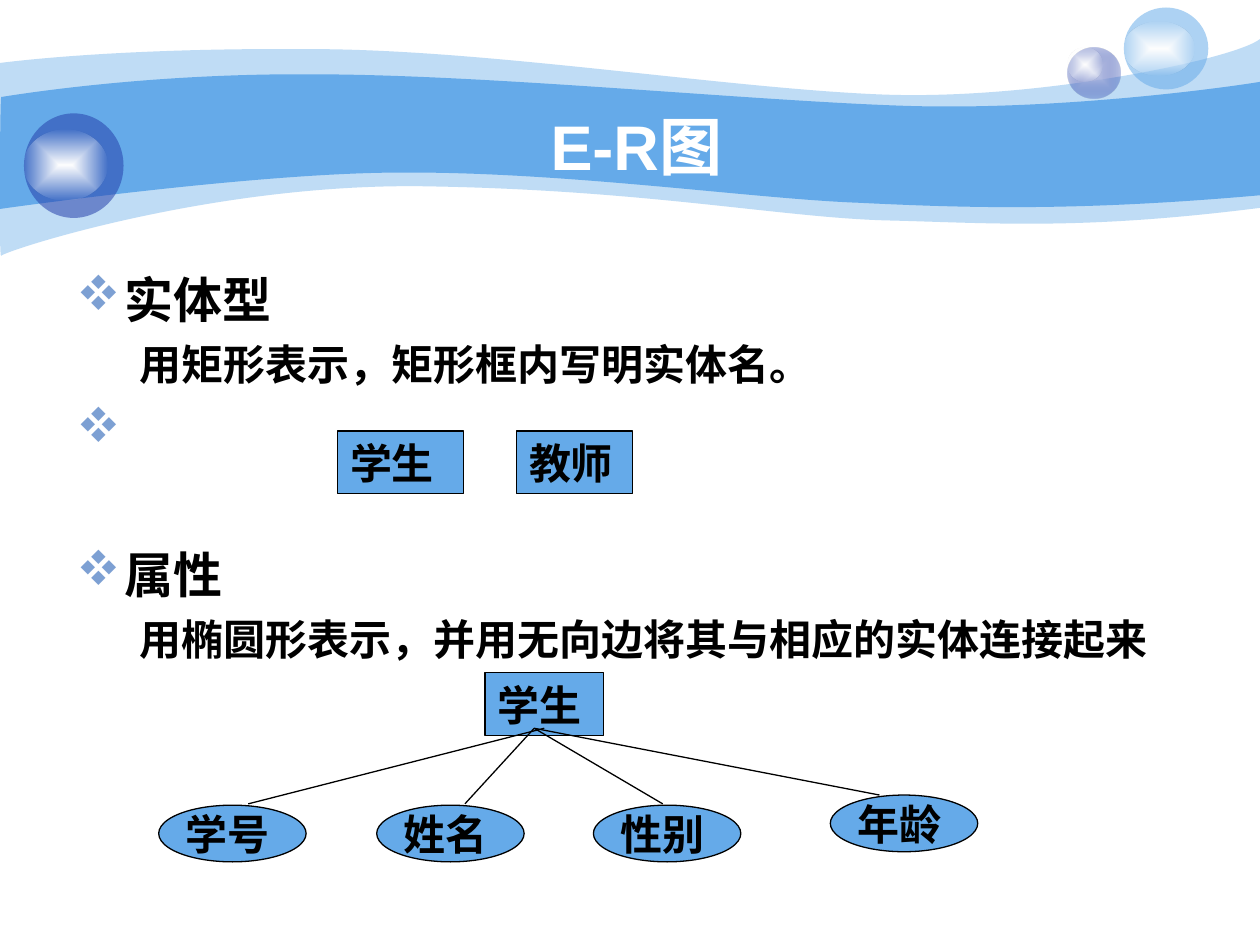
from pptx import Presentation
from pptx.dml.color import RGBColor
from pptx.enum.shapes import MSO_CONNECTOR, MSO_SHAPE
from pptx.enum.text import MSO_ANCHOR, PP_ALIGN
from pptx.oxml import parse_xml
from pptx.oxml.ns import nsdecls, qn
from pptx.util import Inches, Pt

WHITE = RGBColor(0xFF, 0xFF, 0xFF)
BLACK = RGBColor(0x00, 0x00, 0x00)
SKY = RGBColor(0x65, 0xAA, 0xE9)
NAVY = RGBColor(0x23, 0x3D, 0xA9)
LAVENDER = RGBColor(0xC7, 0xCE, 0xE9)
BULLET = RGBColor(0x7D, 0xA0, 0xD3)

RECTANGLE, OVAL = MSO_SHAPE.RECTANGLE, MSO_SHAPE.OVAL
STRAIGHT = MSO_CONNECTOR.STRAIGHT
TOP, MIDDLE = MSO_ANCHOR.TOP, MSO_ANCHOR.MIDDLE
LEFT, CENTER = PP_ALIGN.LEFT, PP_ALIGN.CENTER

OUTER_WAVE = [
    [(0, 0.5), (0.24, 0.47), (1.07, 0.38), (2.47, 0.39), (3.86, 0.39), (5.75, 0.7),
     (6.99, 0.75), (8.22, 0.8), (9.8, 0.47), (10, 0.31)],
    [(10, 1.65), (8.58, 1.83), (7.87, 1.77), (7.05, 1.75), (6.22, 1.73), (5.15, 1.51),
     (3.43, 1.48), (1.72, 1.44), (0.04, 1.99), (0.01, 2.03), (-0.01, 2.08), (0, 0.75), (0, 0.5)],
]
INNER_WAVE = [
    [(0.01, 0.77), (0.02, 0.77), (1.1, 0.58), (2.48, 0.59), (3.86, 0.59), (5.95, 0.8),
     (7.18, 0.84), (8.41, 0.88), (9.76, 0.69), (10, 0.65)],
    [(10, 1.55), (8.53, 1.68), (7.65, 1.65), (6.82, 1.61), (5.99, 1.58), (4.47, 1.36),
     (3.17, 1.37), (2.03, 1.37), (-0.02, 1.66), (-0.01, 1.66), (0, 1.66), (0, 0.77), (0.01, 0.77)],
]
ENTITIES = [("学生", 2.68, 3.42, 1), ("教师", 4.1, 3.42, 0.92), ("学生", 3.85, 5.34, 0.94)]
ATTRIBUTES = [("学号 ", 1.26, 6.39), ("年龄 ", 6.59, 6.31), ("性别 ", 4.71, 6.39), ("姓名 ", 2.99, 6.39)]
EDGES = [(4.32, 1.97, 6.38), (4.24, 3.69, 6.38), (4.24, 5.26, 6.38), (4.24, 6.98, 6.31)]


def write(paragraph, text, size=24, font="Arial", color=BLACK, align=LEFT, before=0, bold=True):
    paragraph.alignment = align
    if before:
        paragraph.space_before = Pt(before)
    run = paragraph.add_run()
    run.text = text
    run.font.size = Pt(size)
    run.font.name = font
    run.font.bold = bold
    run.font.color.rgb = color


def indent(paragraph, margin, hanging, bullet=False):
    properties = paragraph._p.get_or_add_pPr()
    properties.set("marL", str(Inches(margin)))
    properties.set("indent", str(-Inches(hanging)))
    if bullet:
        for mark in (
            f'<a:buClr {nsdecls("a")}><a:srgbClr val="{BULLET}"/></a:buClr>',
            f'<a:buFont {nsdecls("a")} typeface="Wingdings" pitchFamily="2" charset="2"/>',
            f'<a:buChar {nsdecls("a")} char="v"/>',
        ):
            properties.append(parse_xml(mark))


def paint(shape, color, opacity=100):
    shape.shadow.inherit = False
    shape.line.fill.background()
    shape.fill.solid()
    shape.fill.fore_color.rgb = color
    if opacity < 100:
        tint = shape._element.spPr.find(qn("a:solidFill"))[0]
        tint.append(parse_xml(f'<a:alpha {nsdecls("a")} val="{opacity * 1000}"/>'))


def paint_glow(shape, inner, outer, opacity):
    paint(shape, inner)
    properties = shape._element.spPr
    glow = parse_xml(
        f'<a:gradFill {nsdecls("a")} rotWithShape="1"><a:gsLst>'
        f'<a:gs pos="0"><a:srgbClr val="{inner}"/></a:gs>'
        f'<a:gs pos="100000"><a:srgbClr val="{outer}">'
        f'<a:alpha val="{opacity * 1000}"/></a:srgbClr></a:gs></a:gsLst>'
        '<a:path path="rect"><a:fillToRect l="50000" t="50000" r="50000" b="50000"/>'
        '</a:path></a:gradFill>')
    properties.replace(properties.find(qn("a:solidFill")), glow)


def add_wave(slide, edges, opacity=100):
    edges = [[(Inches(x), Inches(y)) for x, y in edge] for edge in edges]
    anchors = [point for edge in edges for point in edge[::3]]
    builder = slide.shapes.build_freeform(*anchors[0])
    builder.add_line_segments(anchors[1:], close=True)
    wave = builder.convert_to_shape()
    curves = []
    for edge in edges:
        curves.append(None)
        curves += [edge[i:i + 3] for i in range(1, len(edge), 3)]
    segments = list(wave._element.iter(qn("a:lnTo")))
    for segment, controls in zip(segments, curves[1:]):
        if controls:
            points = "".join(
                f'<a:pt x="{x - wave.left}" y="{y - wave.top}"/>' for x, y in controls)
            curve = parse_xml(f'<a:cubicBezTo {nsdecls("a")}>{points}</a:cubicBezTo>')
            segment.getparent().replace(segment, curve)
    paint(wave, SKY, opacity)


def add_oval(slide, left, top, width, height):
    return slide.shapes.add_shape(OVAL, Inches(left), Inches(top), Inches(width), Inches(height))


def add_highlight(slide, left, top, width, height):
    paint_glow(add_oval(slide, left, top, width, height), WHITE, WHITE, 0)


def add_text_area(slide, left, top, width, height, anchor=TOP):
    area = slide.shapes.add_textbox(Inches(left), Inches(top), Inches(width), Inches(height))
    area.text_frame.word_wrap = True
    area.text_frame.vertical_anchor = anchor
    return area.text_frame


def add_node(slide, kind, text, left, top, width, height, anchor, align, wrap):
    node = slide.shapes.add_shape(kind, Inches(left), Inches(top), Inches(width), Inches(height))
    paint(node, SKY)
    node.line.color.rgb = BLACK
    node.line.width = Pt(0.75)
    node.text_frame.word_wrap = wrap
    node.text_frame.vertical_anchor = anchor
    write(node.text_frame.paragraphs[0], text, font="Times New Roman", align=align)


def add_edge(slide, start_x, end_x, end_y):
    edge = slide.shapes.add_connector(
        STRAIGHT, Inches(start_x), Inches(5.78), Inches(end_x), Inches(end_y))
    edge.line.color.rgb = BLACK
    edge.line.width = Pt(0.75)
    edge._element.spPr.append(parse_xml(f'<a:effectLst {nsdecls("a")}/>'))


def add_backdrop(slide):
    add_wave(slide, OUTER_WAVE, opacity=41)
    add_wave(slide, INNER_WAVE)
    paint_glow(add_oval(slide, 8.47, 0.38, 0.42, 0.4), LAVENDER, NAVY, 31)
    add_highlight(slide, 8.47, 0.38, 0.28, 0.27)
    paint(add_oval(slide, 8.92, 0.06, 0.67, 0.65), SKY, 53)
    add_highlight(slide, 8.92, 0.17, 0.56, 0.43)
    paint(add_oval(slide, 0.19, 0.9, 0.79, 0.83), NAVY, 53)
    add_highlight(slide, 0.19, 1.03, 0.66, 0.56)


def add_heading(paragraph, text, before=0, bold=True):
    indent(paragraph, 0.38, 0.38, bullet=True)
    write(paragraph, text, size=28, before=before, bold=bold)


def add_detail(paragraph, text):
    indent(paragraph, 0.81, 0.31)
    write(paragraph, text, before=6)


def add_body(slide):
    body = add_text_area(slide, 0.51, 2.09, 9, 4.92)
    add_heading(body.paragraphs[0], "实体型")
    add_detail(body.add_paragraph(), "用矩形表示，矩形框内写明实体名。")
    add_heading(body.add_paragraph(), " ", before=7, bold=False)
    add_heading(body.add_paragraph(), "属性", before=48)
    add_detail(body.add_paragraph(), "用椭圆形表示，并用无向边将其与相应的实体连接起来")


def main():
    deck = Presentation()
    deck.slide_width, deck.slide_height = Inches(10), Inches(7.5)
    slide = deck.slides.add_slide(deck.slide_layouts[6])
    add_backdrop(slide)
    title = add_text_area(slide, 1.01, 0.84, 8.08, 0.62, anchor=MIDDLE)
    write(title.paragraphs[0], "E-R图", size=36, color=WHITE, align=CENTER)
    add_body(slide)
    for text, left, top, width in ENTITIES:
        add_node(slide, RECTANGLE, text, left, top, width, 0.5, TOP, LEFT, True)
    for text, left, top in ATTRIBUTES:
        add_node(slide, OVAL, text, left, top, 1.17, 0.45, MIDDLE, CENTER, False)
    for edge in EDGES:
        add_edge(slide, *edge)
    deck.save("out.pptx")


if __name__ == "__main__":
    main()
